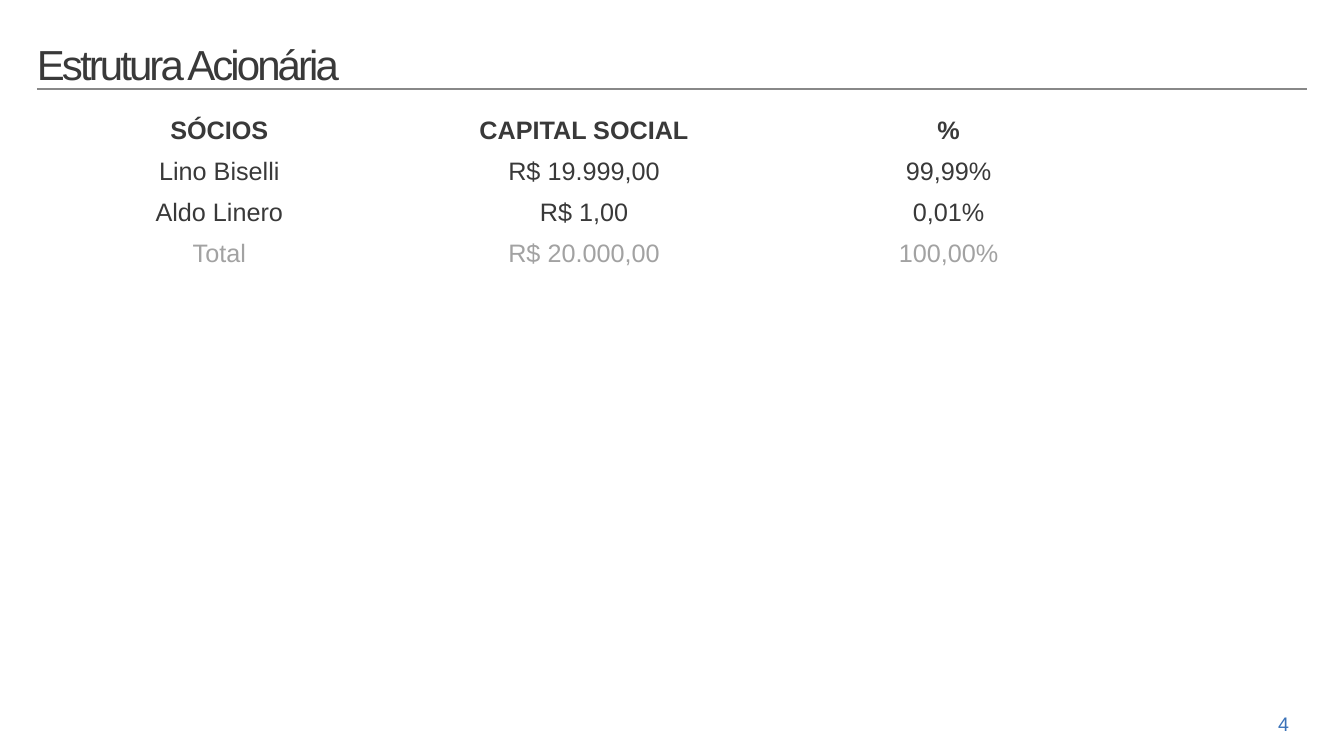
from lxml import etree
from pptx import Presentation
from pptx import util as u
from pptx.dml.color import RGBColor
from pptx.enum import shapes, text
from pptx.oxml import ns

EMU_PER_PX = 914400 / 100.8
DARK, MUTED, RULE, ACCENT = "393939", "A2A2A2", "888888", "3B72B8"

SHAREHOLDERS = [
    ("SÓCIOS", "CAPITAL SOCIAL", "%"),
    ("Lino Biselli", "R$ 19.999,00", "99,99%"),
    ("Aldo Linero", "R$ 1,00", "0,01%"),
    ("Total", "R$ 20.000,00", "100,00%"),
]


def px(length):
    return u.Emu(round(length * EMU_PER_PX))


def color(hex_code):
    return RGBColor.from_string(hex_code)


def add_run(paragraph, wording, size, hex_code, bold=False):
    run = paragraph.add_run()
    run.text = wording
    run.font.name = "Arial"
    run.font.size = u.Pt(size)
    run.font.bold = bold
    run.font.color.rgb = color(hex_code)
    return run


def add_heading(slide, left, top, width, height):
    rule_y = px(top + height)
    rule = slide.shapes.add_connector(
        shapes.MSO_CONNECTOR.STRAIGHT, px(left), rule_y, px(left + width), rule_y)
    rule.line.color.rgb = color(RULE)
    rule.line.width = u.Pt(0.85)
    etree.SubElement(rule._element.spPr, ns.qn("a:effectLst"))

    title = slide.shapes.add_textbox(px(left), px(top), px(646), px(height))
    frame = title.text_frame
    frame.word_wrap = True
    frame.vertical_anchor = text.MSO_ANCHOR.BOTTOM
    frame.margin_left = frame.margin_right = frame.margin_bottom = 0
    frame.margin_top = px(7)
    paragraph = frame.paragraphs[0]
    paragraph.line_spacing = 0.85
    run = add_run(paragraph, "Estrutura Acionária", 30, DARK)
    run._r.get_or_add_rPr().set("spc", "-210")


def add_shareholder_table(slide, left, top, width, height):
    rows, columns = len(SHAREHOLDERS), len(SHAREHOLDERS[0])
    table = slide.shapes.add_table(
        rows, columns, px(left), px(top), px(width), px(height)).table
    table.first_row = table.horz_banding = False
    for column in table.columns:
        column.width = px(width / columns)
    for row_index, entries in enumerate(SHAREHOLDERS):
        table.rows[row_index].height = px(height / rows)
        hex_code = MUTED if row_index == rows - 1 else DARK
        for column_index, entry in enumerate(entries):
            cell = table.cell(row_index, column_index)
            cell.fill.background()
            paragraph = cell.text_frame.paragraphs[0]
            paragraph.alignment = text.PP_ALIGN.CENTER
            add_run(paragraph, entry, 18, hex_code, bold=row_index == 0)


def add_page_number(slide, left, top, width, height):
    page_number = slide.shapes.add_textbox(px(left), px(top), px(width), px(height))
    frame = page_number.text_frame
    frame.word_wrap = True
    frame.auto_size = text.MSO_AUTO_SIZE.SHAPE_TO_FIT_TEXT
    paragraph = frame.paragraphs[0]
    paragraph.alignment = text.PP_ALIGN.CENTER
    add_run(paragraph, "4", 14, ACCENT)


def main():
    deck = Presentation()
    deck.slide_width, deck.slide_height = px(1344), px(756)
    slide = deck.slides.add_slide(deck.slide_layouts[6])
    add_heading(slide, 37, 12, 1270, 77)
    add_shareholder_table(slide, 37, 112, 1094, 164)
    add_page_number(slide, 1257, 707, 53, 34)
    deck.save("out.pptx")


if __name__ == "__main__":
    main()
